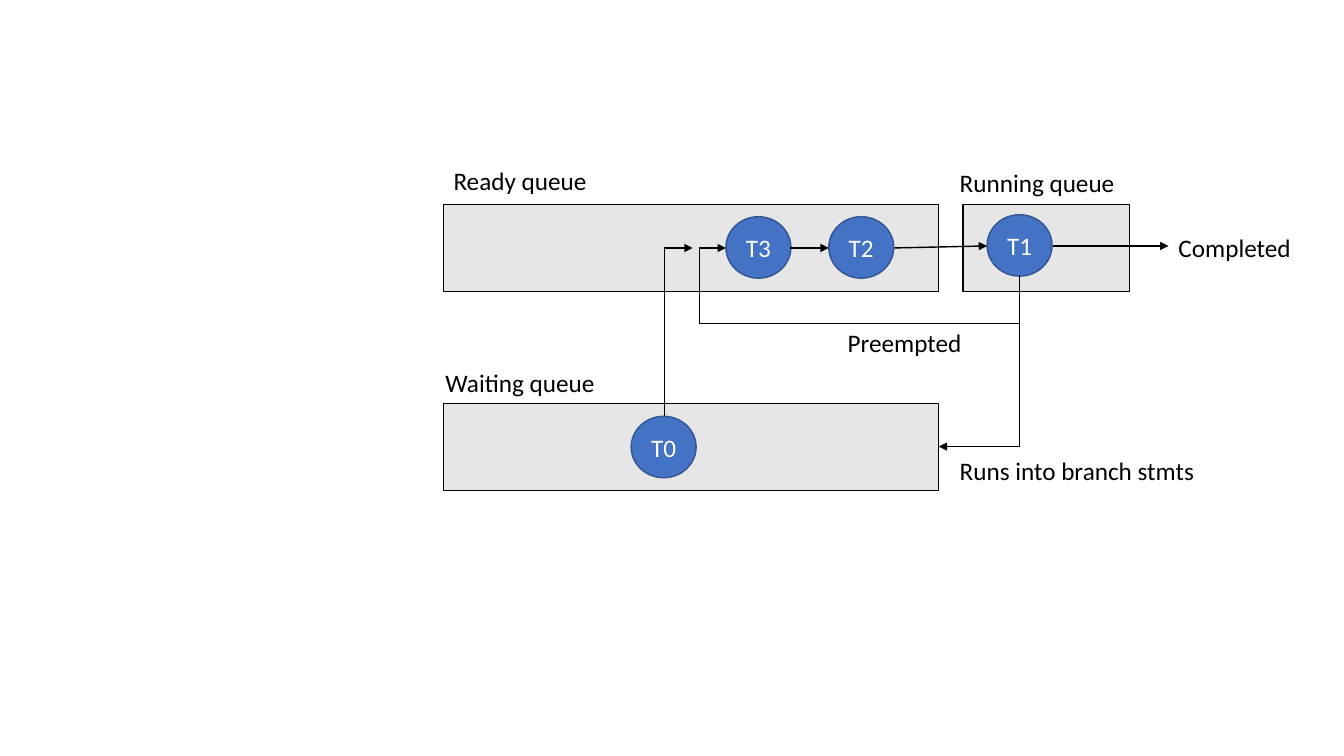
import pptx
import pptx.dml.color
import pptx.enum.shapes
import pptx.enum.text
import pptx.oxml
import pptx.oxml.ns
import pptx.util

BLACK = pptx.dml.color.RGBColor(0x00, 0x00, 0x00)
WHITE = pptx.dml.color.RGBColor(0xFF, 0xFF, 0xFF)
QUEUE_GREY = pptx.dml.color.RGBColor(0xE7, 0xE6, 0xE6)
TASK_BLUE = pptx.dml.color.RGBColor(0x44, 0x72, 0xC4)
TASK_EDGE = pptx.dml.color.RGBColor(0x32, 0x54, 0x91)

CELL = 0.1  # inches per grid column and row
TASK_WIDTH, TASK_HEIGHT = 6.45, 6.1
QUEUE_HEIGHT = 8.65
LABEL_HEIGHT = 4


def grid(*cells):
    return [pptx.util.Inches(cell * CELL) for cell in cells]


def write(shape, text, size=18, font="Calibri", color=BLACK,
          align=pptx.enum.text.PP_ALIGN.LEFT,
          anchor=pptx.enum.text.MSO_ANCHOR.TOP):
    frame = shape.text_frame
    frame.word_wrap = True
    frame.vertical_anchor = anchor
    para = frame.paragraphs[0]
    para.alignment = align
    span = para.add_run()
    span.text = text
    span.font.size = pptx.util.Pt(size)
    span.font.name = font
    span.font.color.rgb = color


class Diagram:
    """Draws queue diagram parts on one page, with lengths in grid cells."""

    line_width = pptx.util.Pt(1)

    def __init__(self, page):
        self.page = page

    def outline(self, kind, place, fill, edge):
        shape = self.page.shapes.add_shape(kind, *grid(*place))
        shape.shadow.inherit = False
        shape.fill.solid()
        shape.fill.fore_color.rgb = fill
        shape.line.color.rgb = edge
        shape.line.width = self.line_width
        return shape

    def queue(self, left, top, width):
        self.outline(pptx.enum.shapes.MSO_SHAPE.RECTANGLE,
                     (left, top, width, QUEUE_HEIGHT), QUEUE_GREY, BLACK)

    def task(self, name, left, top):
        circle = self.outline(pptx.enum.shapes.MSO_SHAPE.OVAL,
                              (left, top, TASK_WIDTH, TASK_HEIGHT),
                              TASK_BLUE, TASK_EDGE)
        frame = circle.text_frame
        frame.margin_left = frame.margin_right = 0
        frame.margin_top = frame.margin_bottom = 0
        write(circle, name, color=WHITE,
              align=pptx.enum.text.PP_ALIGN.CENTER,
              anchor=pptx.enum.text.MSO_ANCHOR.MIDDLE)

    def label(self, text, left, top, width=29.7):
        box = self.page.shapes.add_textbox(
            *grid(left, top, width, LABEL_HEIGHT))
        write(box, text)

    def line(self, start, end, arrow=True,
             kind=pptx.enum.shapes.MSO_CONNECTOR.STRAIGHT):
        connector = self.page.shapes.add_connector(
            kind, *grid(*start, *end))
        connector.line.color.rgb = BLACK
        connector.line.width = self.line_width
        if arrow:
            stroke = connector.line._get_or_add_ln()
            stroke.append(pptx.oxml.parse_xml(
                f'<a:tailEnd {pptx.oxml.ns.nsdecls("a")} type="triangle"/>'))
        connector._element.spPr.append(pptx.oxml.parse_xml(
            f'<a:effectLst {pptx.oxml.ns.nsdecls("a")}/>'))
        return connector

    def bent_arrow(self, start, end, preset, bends=()):
        """Leave start downwards: an elbow turned by a quarter about its middle."""
        middle_x = (start[0] + end[0]) / 2
        middle_y = (start[1] + end[1]) / 2
        unturned = [(middle_x + y - middle_y, middle_y - x + middle_x)
                    for x, y in (start, end)]
        connector = self.line(
            *unturned, kind=pptx.enum.shapes.MSO_CONNECTOR.ELBOW)
        properties = connector._element.spPr
        properties.find(pptx.oxml.ns.qn("a:xfrm")).set("rot", "5400000")
        geometry = properties.find(pptx.oxml.ns.qn("a:prstGeom"))
        geometry.set("prst", preset)
        guides = geometry.find(pptx.oxml.ns.qn("a:avLst"))
        for number, bend in enumerate(bends, start=1):
            guides.append(pptx.oxml.parse_xml(
                f'<a:gd {pptx.oxml.ns.nsdecls("a")} name="adj{number}" '
                f'fmla="val {round(bend * 100000)}"/>'))


def main():
    deck = pptx.Presentation()
    deck.slide_width = pptx.util.Inches(13.33)
    deck.slide_height = pptx.util.Inches(7.5)
    page = deck.slides.add_slide(deck.slide_layouts[6])
    diagram = Diagram(page)

    for queue in ((95.5, 20.3, 16.5), (44, 20.3, 49.1), (44, 40, 49.1)):
        diagram.queue(*queue)

    for name, left, top in (("T2", 82.2, 21.5), ("T1", 97.9, 21.3),
                            ("T0", 62.6, 41.3), ("T3", 72, 21.5)):
        diagram.task(name, left, top)

    for text, left, top in (("Ready queue", 44, 15.9),
                            ("Waiting queue", 43.2, 35.9),
                            ("Running queue", 94.2, 16.1),
                            ("Preempted", 83.1, 32),
                            ("Runs into branch stmts", 94.2, 44.7)):
        diagram.label(text, left, top)
    diagram.label("Completed", 115.9, 22.6, width=17)

    below_running = (101.1, 27.4)
    diagram.bent_arrow(below_running, (72, 24.6), "bentConnector4",
                       bends=(-1.68, 1.09))
    diagram.bent_arrow(below_running, (93.1, 44.3), "bentConnector2")

    waiting_turn = (65.9, 24.6)
    for start, end in (((78.4, 24.6), (82.2, 24.6)),
                       ((88.7, 24.6), (97.9, 24.4)),
                       ((104.4, 24.4), (115.9, 24.4)),
                       (waiting_turn, (68.7, 24.6))):
        diagram.line(start, end)
    diagram.line(waiting_turn, (65.9, 41.3), arrow=False)

    deck.save("out.pptx")


if __name__ == "__main__":
    main()
